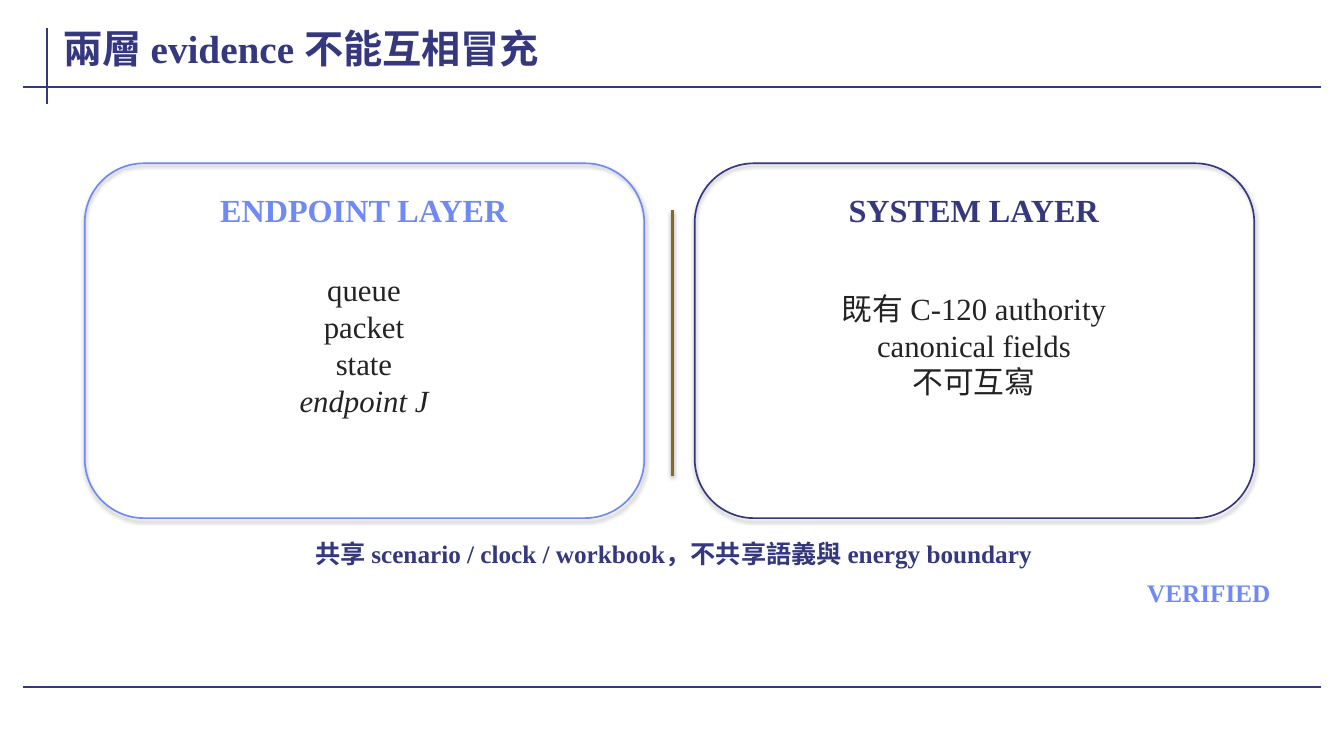
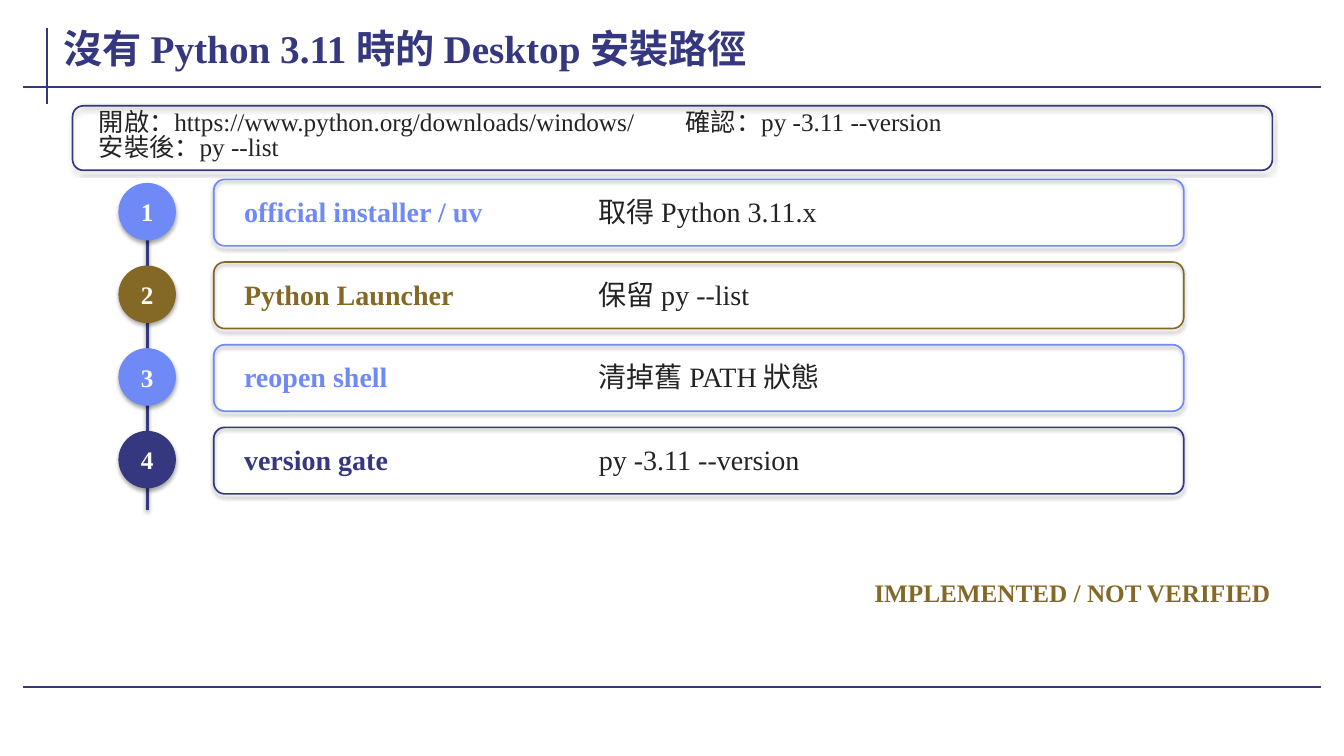
"""Build two slides on evidence layers and the Python 3.11 installation path."""
from dataclasses import dataclass

from lxml import etree
from pptx import Presentation
from pptx.dml.color import RGBColor
from pptx.enum.shapes import MSO_CONNECTOR as Connector, MSO_SHAPE as Preset
from pptx.enum.text import MSO_ANCHOR as Anchor, MSO_AUTO_SIZE as AutoSize, PP_ALIGN as Align
from pptx.oxml.ns import qn
from pptx.presentation import Presentation as Deck
from pptx.shapes.autoshape import Shape
from pptx.slide import Slide
from pptx.text.text import TextFrame
from pptx.util import Inches, Pt

NAVY = RGBColor(0x35, 0x37, 0x7F)
BLUE = RGBColor(0x6F, 0x89, 0xF7)
GOLD = RGBColor(0x84, 0x68, 0x26)
INK = RGBColor(0x23, 0x23, 0x23)
WHITE = RGBColor(0xFF, 0xFF, 0xFF)
FONT = "Times New Roman"
BODY_INSETS = (0.08, 0.06)


@dataclass(frozen=True)
class Box:
    left: float
    top: float
    width: float
    height: float

    def lengths(self) -> tuple[Inches, ...]:
        return tuple(Inches(v) for v in (self.left, self.top, self.width, self.height))


@dataclass(frozen=True)
class Style:
    size: float
    color: RGBColor = INK
    bold: bool = False
    align: Align = Align.LEFT
    anchor: Anchor = Anchor.MIDDLE
    insets: tuple[float, float] = BODY_INSETS


@dataclass(frozen=True)
class Line:
    text: str
    italic: bool = False


@dataclass(frozen=True)
class Layer:
    heading: str
    color: RGBColor
    lines: tuple[Line, ...]


@dataclass(frozen=True)
class Step:
    tool: str
    action: str
    color: RGBColor


@dataclass(frozen=True)
class Command:
    text: str
    left: float
    top: float


LAYERS = (
    Layer("ENDPOINT LAYER", BLUE,
          (Line("queue"), Line("packet"), Line("state"), Line("endpoint J", italic=True))),
    Layer("SYSTEM LAYER", NAVY,
          (Line("既有 C-120 authority"), Line("canonical fields"), Line("不可互寫"))),
)
COMMANDS = (
    Command("開啟：https://www.python.org/downloads/windows/", 0.9, 1.08),
    Command("安裝後：py --list", 0.9, 1.33),
    Command("確認：py -3.11 --version", 6.72, 1.08),
)
STEPS = (
    Step("official installer / uv", "取得 Python 3.11.x", BLUE),
    Step("Python Launcher", "保留 py --list", GOLD),
    Step("reopen shell", "清掉舊 PATH 狀態", BLUE),
    Step("version gate", "py -3.11 --version", NAVY),
)


def set_shadow(properties: etree._Element, distance: float = 1.8, opacity: int = 35) -> None:
    """Give shape properties a soft shadow that falls straight down."""
    effects = etree.SubElement(properties, qn("a:effectLst"))
    shadow = etree.SubElement(effects, qn("a:outerShdw"), blurRad=str(Pt(3.1)),
                              dist=str(Pt(distance)), dir="5400000", rotWithShape="0")
    tint = etree.SubElement(shadow, qn("a:srgbClr"), val="000000")
    etree.SubElement(tint, qn("a:alpha"), val=str(opacity * 1000))


def write(frame: TextFrame, lines: tuple[Line, ...], style: Style) -> None:
    """Fill a text frame with one run for each line."""
    frame.word_wrap = True
    frame.vertical_anchor = style.anchor
    across, down = (Inches(v) for v in style.insets)
    frame.margin_left = frame.margin_right = across
    frame.margin_top = frame.margin_bottom = down
    for index, line in enumerate(lines):
        paragraph = frame.add_paragraph() if index else frame.paragraphs[0]
        paragraph.alignment = style.align
        run = paragraph.add_run()
        run.text = line.text
        font = run.font
        font.name, font.size = FONT, Pt(style.size)
        font.bold, font.italic = style.bold, line.italic
        font.color.rgb = style.color


def add_text(slide: Slide, box: Box, style: Style, *lines: Line, grow: bool = True) -> None:
    """Add a text box."""
    frame = slide.shapes.add_textbox(*box.lengths()).text_frame
    write(frame, lines, style)
    frame.auto_size = AutoSize.SHAPE_TO_FIT_TEXT if grow else AutoSize.NONE


def add_line(slide: Slide, start: tuple[float, float], end: tuple[float, float],
             color: RGBColor = NAVY, width: float = 1.5, shadowed: bool = False) -> None:
    """Add a straight line between two points."""
    line = slide.shapes.add_connector(
        Connector.STRAIGHT, *(Inches(v) for v in (*start, *end)))
    line.line.color.rgb = color
    line.line.width = Pt(width)
    properties = line._element.spPr
    if shadowed:
        set_shadow(properties, distance=1.6, opacity=38)
    else:
        etree.SubElement(properties, qn("a:effectLst"))


def add_shape(slide: Slide, preset: Preset, box: Box, color: RGBColor,
              width: float, filled: bool = False) -> Shape:
    """Add a shadowed preset shape, either solid or outlined."""
    shape = slide.shapes.add_shape(preset, *box.lengths())
    if filled:
        shape.fill.solid()
        shape.fill.fore_color.rgb = color
    else:
        shape.fill.background()
    shape.line.color.rgb = color
    shape.line.width = Pt(width)
    set_shadow(shape._element.spPr)
    return shape


def add_card(slide: Slide, box: Box, color: RGBColor) -> None:
    """Add an outlined rounded card."""
    add_shape(slide, Preset.ROUNDED_RECTANGLE, box, color, 1.2)


def add_page(deck: Deck, title: str, status: str, status_color: RGBColor) -> Slide:
    """Add a slide with the shared rules, title and status label."""
    slide = deck.slides.add_slide(deck.slide_layouts[6])
    add_line(slide, (0.47, 0.28), (0.47, 1.03))
    for y in (0.86, 6.82):
        add_line(slide, (0.23, y), (13.1, y))
    add_text(slide, Box(0.6, 0.16, 12.51, 0.62),
             Style(28, NAVY, True, insets=(0.03, 0.01)), Line(title), grow=False)
    add_text(slide, Box(8, 5.72, 4.62, 0.32),
             Style(18, status_color, True, Align.RIGHT, insets=(0.02, 0)), Line(status))
    return slide


def add_layer(slide: Slide, layer: Layer, left: float) -> None:
    """Draw one evidence layer as a card with a heading and its contents."""
    add_card(slide, Box(left, 1.62, 5.55, 3.52), layer.color)
    add_text(slide, Box(left + 0.22, 1.84, 5.1, 0.48),
             Style(23, layer.color, True, Align.CENTER), Line(layer.heading))
    add_text(slide, Box(left + 0.35, 2.56, 4.84, 1.72),
             Style(22, align=Align.CENTER), *layer.lines)


def add_step(slide: Slide, number: int, step: Step, top: float) -> None:
    """Draw one numbered installation step."""
    badge = add_shape(slide, Preset.OVAL, Box(1.18, top + 0.04, 0.56, 0.56),
                      step.color, 0.75, filled=True)
    write(badge.text_frame, (Line(str(number)),),
          Style(18, WHITE, True, Align.CENTER, insets=(0, 0)))
    add_card(slide, Box(2.12, top, 9.62, 0.66), step.color)
    add_text(slide, Box(2.34, top + 0.09, 3.42, 0.42),
             Style(20, step.color, True, anchor=Anchor.TOP), Line(step.tool))
    add_text(slide, Box(5.86, top + 0.09, 5.54, 0.42),
             Style(20, anchor=Anchor.TOP), Line(step.action))


def build_layers(deck: Deck) -> None:
    """Build the slide that sets the two evidence layers apart."""
    slide = add_page(deck, "兩層 evidence 不能互相冒充", "VERIFIED", BLUE)
    for index, layer in enumerate(LAYERS):
        add_layer(slide, layer, 0.84 + 6.05 * index)
    add_line(slide, (6.67, 2.08), (6.67, 4.72), GOLD, 2, shadowed=True)
    add_text(slide, Box(1.28, 5.32, 10.8, 0.34), Style(18, NAVY, True, Align.CENTER),
             Line("共享 scenario / clock / workbook，不共享語義與 energy boundary"))


def build_installation(deck: Deck) -> None:
    """Build the slide with the installation steps."""
    slide = add_page(deck, "沒有 Python 3.11 時的 Desktop 安裝路徑",
                     "IMPLEMENTED / NOT VERIFIED", GOLD)
    add_card(slide, Box(0.72, 1.05, 11.9, 0.64), NAVY)
    for command in COMMANDS:
        add_text(slide, Box(command.left, command.top, 5.58, 0.25),
                 Style(18), Line(command.text))
    add_line(slide, (1.46, 1.92), (1.46, 5.06), NAVY, 2, shadowed=True)
    for index, step in enumerate(STEPS):
        add_step(slide, index + 1, step, 1.78 + 0.82 * index)


def main() -> None:
    """Build and save the presentation."""
    deck = Presentation()
    deck.slide_width, deck.slide_height = Inches(13.33), Inches(7.5)
    build_layers(deck)
    build_installation(deck)
    deck.save("out.pptx")


if __name__ == "__main__":
    main()
